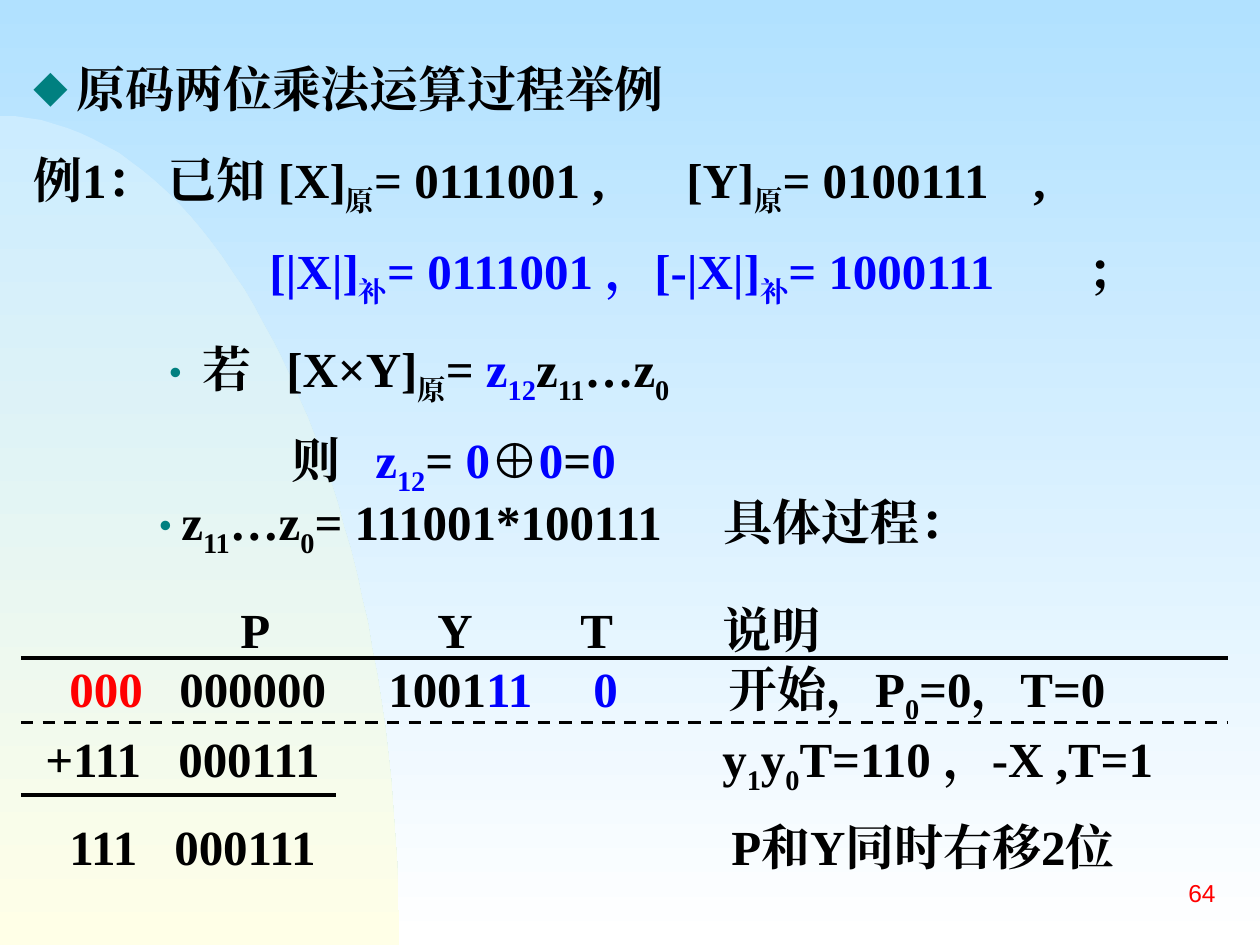
from dataclasses import dataclass
from typing import NamedTuple

from lxml.etree import SubElement
from pptx import Presentation
from pptx.dml.color import RGBColor
from pptx.enum.dml import MSO_LINE
from pptx.enum.shapes import MSO_CONNECTOR
from pptx.enum.text import MSO_ANCHOR, PP_ALIGN
from pptx.oxml.ns import qn
from pptx.util import Emu, Pt

PX = 914400 / 126
WIDTH, HEIGHT = 1260, 945
BOX_LEFT, BOX_WIDTH = 21, 1207
TEXT_LEFT = 34  # box left plus its inset


@dataclass(frozen=True)
class Theme:
    black: str = "000000"
    blue: str = "0000FF"
    red: str = "FF0000"
    teal: str = "008080"
    sky: tuple = ("B1E1FF", "FFFFFF")
    dune: tuple = ("CCECFF", "FFFFE7")
    serif: str = "Times New Roman"
    sans: str = "Arial"
    cjk: str = "Noto Sans CJK SC"
    body: int = 28
    bullet: int = 20
    number: int = 14
    line_height: int = 34
    subscript_line_height: int = 38


THEME = Theme()


class Run(NamedTuple):
    text: str
    color: str = THEME.black
    sub: bool = False
    font: str = THEME.serif


class Bullet(NamedTuple):
    char: str
    font: str
    left: int


class Line(NamedTuple):
    runs: list
    tabs: tuple = ()  # px from the slide's left edge
    bullet: Bullet | None = None
    text_left: int = TEXT_LEFT
    before: int = 0


class Rule(NamedTuple):
    right: int
    top: int
    weight: float
    dashed: bool = False


def px(value: float) -> Emu:
    return Emu(round(value * PX))


def blue(text: str) -> Run:
    return Run(text, THEME.blue)


def sub(text: str, color: str = THEME.black) -> Run:
    return Run(text, color, sub=True)


def set_gradient(fill, colors: tuple) -> None:
    fill.gradient()
    fill.gradient_angle = 270
    for stop, color in zip(fill.gradient_stops, colors):
        stop.color.rgb = RGBColor.from_string(color)


def add_bullet_and_tabs(paragraph, line: Line) -> None:
    properties = paragraph._p.get_or_add_pPr()
    margin = line.text_left - TEXT_LEFT
    if line.bullet:
        properties.set("marL", str(px(margin)))
        properties.set("indent", str(px(line.bullet.left - line.text_left)))
        color = SubElement(properties, qn("a:buClr"))
        SubElement(color, qn("a:srgbClr"), val=THEME.teal)
        percent = round(THEME.bullet / THEME.body * 100) * 1000
        SubElement(properties, qn("a:buSzPct"), val=str(percent))
        SubElement(properties, qn("a:buFont"), typeface=line.bullet.font)
        SubElement(properties, qn("a:buChar"), char=line.bullet.char)
    if line.tabs:
        # Stops count from the box edge or from the indent, depending on the program
        stops = {tab - TEXT_LEFT - shift for tab in line.tabs for shift in (0, margin)}
        tab_list = SubElement(properties, qn("a:tabLst"))
        for stop in sorted(stops):
            SubElement(tab_list, qn("a:tab"), pos=str(px(stop)), algn="l")


def add_text(slide, lines: list, *, top: int, height: int, left: int = BOX_LEFT,
             width: int = BOX_WIDTH, size: int = THEME.body, bold: bool = True,
             align=PP_ALIGN.LEFT, anchor=MSO_ANCHOR.TOP, fixed: bool = True) -> None:
    frame = slide.shapes.add_textbox(px(left), px(top), px(width), px(height)).text_frame
    frame.word_wrap = True
    frame.vertical_anchor = anchor
    for index, line in enumerate(lines):
        paragraph = frame.add_paragraph() if index else frame.paragraphs[0]
        paragraph.alignment = align
        if fixed:
            has_sub = any(run.sub for run in line.runs)
            paragraph.line_spacing = Pt(
                THEME.subscript_line_height if has_sub else THEME.line_height)
        if line.before:
            paragraph.space_before = Pt(line.before)
        add_bullet_and_tabs(paragraph, line)
        for part in line.runs:
            run = paragraph.add_run()
            run.text = part.text
            run.font.size, run.font.bold = Pt(size), bold
            run.font.color.rgb = RGBColor.from_string(part.color)
            run.font.name = part.font
            properties = run.font._element
            SubElement(properties, qn("a:ea"), typeface=part.font)
            if part.sub:
                properties.set("baseline", "-25000")


def add_rule(slide, rule: Rule) -> None:
    connector = slide.shapes.add_connector(
        MSO_CONNECTOR.STRAIGHT, px(BOX_LEFT), px(rule.top), px(rule.right), px(rule.top))
    connector.line.color.rgb = RGBColor.from_string(THEME.black)
    connector.line.width = Pt(rule.weight)
    if rule.dashed:
        connector.line.dash_style = MSO_LINE.DASH
    SubElement(connector._element.spPr, qn("a:effectLst"))


def add_dune(slide, top: int = 116, right: int = 399, steps: int = 48) -> None:
    xs, ys = (0, 220, right, right), (top, top, 488, HEIGHT)

    def bezier(values: tuple, t: float) -> float:
        weights = ((1 - t) ** 3, 3 * t * (1 - t) ** 2, 3 * t * t * (1 - t), t ** 3)
        return sum(weight * value for weight, value in zip(weights, values))

    curve = [(bezier(xs, i / steps), bezier(ys, i / steps)) for i in range(1, steps + 1)]
    builder = slide.shapes.build_freeform(0, top, scale=PX)
    builder.add_line_segments(curve + [(0, HEIGHT)], close=True)
    shape = builder.convert_to_shape()
    shape.shadow.inherit = False
    set_gradient(shape.fill, THEME.dune)
    shape.line.fill.background()


TITLE = [Line([Run("原码两位乘法运算过程举例")],
              bullet=Bullet("◆", THEME.cjk, 34), text_left=77)]
GIVEN = [
    Line([Run("例1： 已知 [X]"), sub("原"), Run("= 0111001 ,\t[Y]"), sub("原"),
          Run("= 0100111\t,")], tabs=(687, 1034)),
    Line([blue("\t[|X|]"), sub("补", THEME.blue), blue("= 0111001 ，[-|X|]"),
          sub("补", THEME.blue), blue("= 1000111\t"), Run("；")],
         tabs=(270, 1088), before=14),
]
SIGN = [
    Line([Run("若\t[X×Y]"), sub("原"), Run("= "), blue("z"), sub("12", THEME.blue),
          Run("z"), sub("11"), Run("…z"), sub("0")],
         tabs=(287,), bullet=Bullet("•", THEME.sans, 170), text_left=203),
    Line([Run("\t则\t"), blue("z"), sub("12", THEME.blue), Run("= "), blue("0"),
          Run("⊕", font=THEME.sans), blue("0"), Run("="), blue("0")],
         tabs=(292, 376), before=14),
]
PRODUCT = [Line([Run("z"), sub("11"), Run("…z"), sub("0"),
                 Run("= 111001*100111\t具体过程：")],
                tabs=(724,), bullet=Bullet("•", THEME.sans, 160), text_left=182)]
START = [
    Line([Run("\tP\tY\tT\t说明")], tabs=(241, 438, 581, 723)),
    Line([Run("\t000", THEME.red), Run("\t000000\t1001"), blue("11\t0"),
          Run("\t开始，P"), sub("0"), Run("=0，T=0")], tabs=(70, 180, 389, 594, 729)),
]
ADD_STEP = [Line([Run("\t+111\t000111\ty"), sub("1"), Run("y"), sub("0"),
                  Run("T=110 ，-X ,T=1")], tabs=(46, 179, 723))]
SHIFT_STEP = [Line([Run("\t111\t000111\tP和Y同时右移2位")], tabs=(70, 175, 732))]

# Text, top and height of each full-width box
BOXES = [(TITLE, 52, 72), (GIVEN, 144, 171), (SIGN, 333, 171), (PRODUCT, 486, 79),
         (START, 593, 139), (ADD_STEP, 723, 79), (SHIFT_STEP, 810, 72)]
RULES = [Rule(1228, 658, 2.5), Rule(1228, 723, 1.75, dashed=True), Rule(336, 795, 2.5)]


def main() -> None:
    presentation = Presentation()
    presentation.slide_width, presentation.slide_height = px(WIDTH), px(HEIGHT)
    slide = presentation.slides.add_slide(presentation.slide_layouts[6])

    # Background
    set_gradient(slide.background.fill, THEME.sky)
    add_dune(slide)

    # Worked example
    for lines, top, height in BOXES:
        add_text(slide, lines, top=top, height=height)
    for rule in RULES:
        add_rule(slide, rule)

    # Slide number
    add_text(slide, [Line([Run("64", THEME.red, font=THEME.sans)])], left=966, top=861,
             width=262, height=63, size=THEME.number, bold=False,
             align=PP_ALIGN.RIGHT, anchor=MSO_ANCHOR.MIDDLE, fixed=False)
    presentation.save("out.pptx")


if __name__ == "__main__":
    main()
